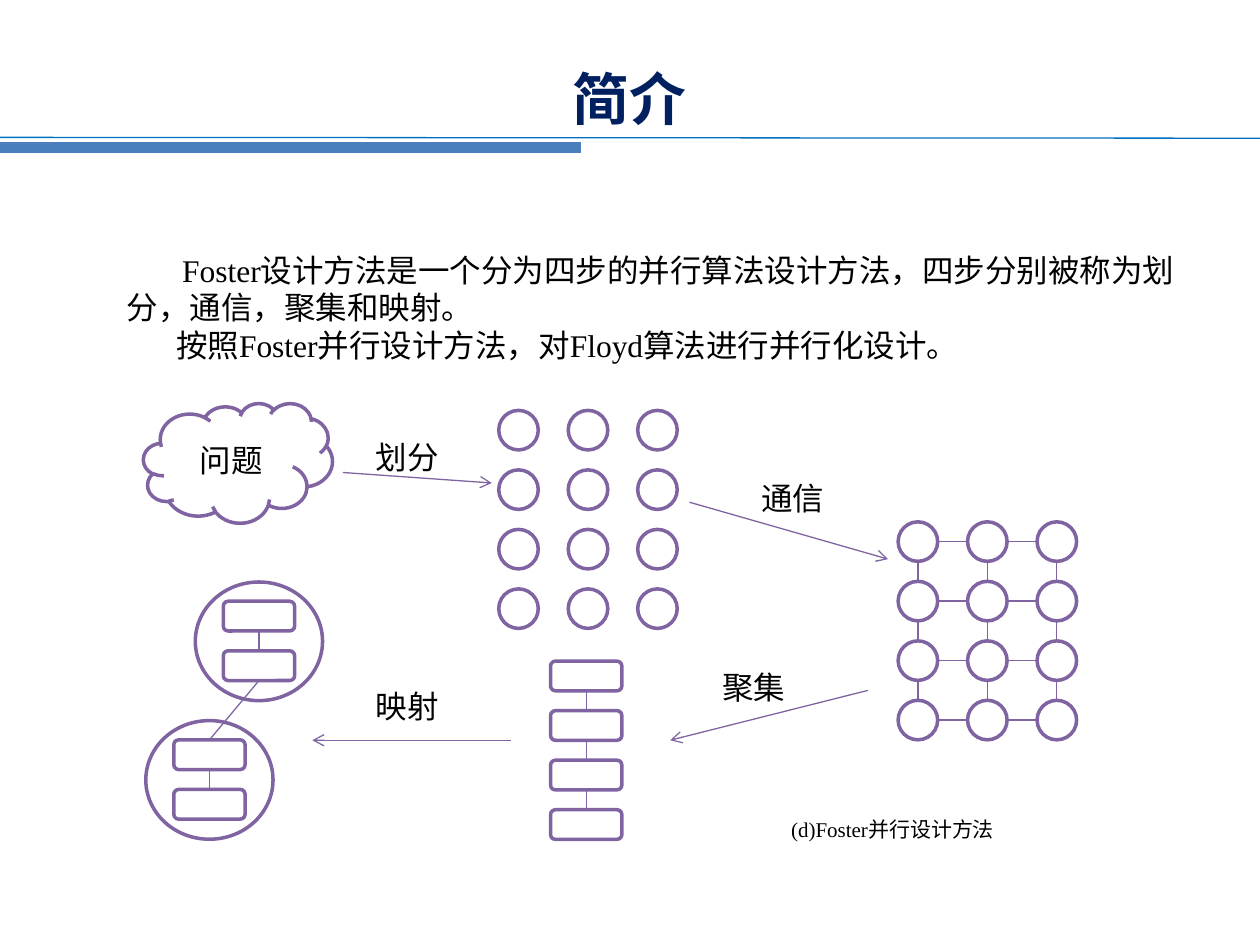
from pptx import Presentation
from pptx.dml.color import RGBColor
from pptx.enum.shapes import MSO_CONNECTOR, MSO_SHAPE
from pptx.enum.text import MSO_ANCHOR, MSO_AUTO_SIZE, PP_ALIGN
from pptx.oxml.ns import qn
from pptx.util import Pt
from lxml import etree

STRAIGHT = MSO_CONNECTOR.STRAIGHT
OVAL, ROUND, CLOUD = MSO_SHAPE.OVAL, MSO_SHAPE.ROUNDED_RECTANGLE, MSO_SHAPE.CLOUD
CENTER, MIDDLE, BOTTOM = PP_ALIGN.CENTER, MSO_ANCHOR.MIDDLE, MSO_ANCHOR.BOTTOM
NO_FIT = MSO_AUTO_SIZE.NONE
PURPLE, WHITE, BLACK, NAVY = "8064A2", "FFFFFF", "000000", "002060"
SERIF, SANS = "Times New Roman", "Calibri"

TITLE = "简介"
PARAGRAPHS = [
    ("Foster设计方法是一个分为四步的并行算法设计方法，四步分别被称为划分，通信，聚集和映射。", 31.5),
    ("按照Foster并行设计方法，对Floyd算法进行并行化设计。", 28),
]
CAPTION = "(d)Foster并行设计方法"
PROBLEM = "问题"
LABELS = [("划分", 207.5, 247), ("聚集", 405.5, 378), ("通信", 428, 270), ("映射", 207.5, 389)]
ARROWS = [
    (196, 270, 281, 276),
    (394, 287, 507.5, 319.5),
    (496, 394.5, 383, 423),
    (292, 423, 178.5, 423),
]
RULES = [(0, 78.5, 720, 79, "0070C0", 0.75), (0, 84.4, 332, 84.4, "4B7EBC", 6)]
TASK_GRID, LINKED_GRID = (285, 234.5), (513.2, 298.2)
COLS, ROWS, DX, DY, DIAMETER = 3, 4, 39.7, 34, 22.6
BOX_W, BOX_H, BOX_PITCH = 40.8, 17, 28.3
GROUP_STACK = (314.6, 377.8)
CLUSTERS = [(111.6, 332.6), (83.3, 411.8)]
CLUSTER_W, CLUSTER_H, INSET_X, INSET_Y = 72.7, 67.8, 16, 11


def rgb(color):
    return RGBColor.from_string(color)


def style(p, size, font=SERIF, color=BLACK, bold=False):
    for r in p.runs:
        r.font.size, r.font.name, r.font.bold = Pt(size), font, bold
        r.font.color.rgb = rgb(color)


def add_text(s, text, x, y, w, h, size=18):
    tf = s.shapes.add_textbox(Pt(x), Pt(y), Pt(w), Pt(h)).text_frame
    tf.word_wrap = True
    tf.text = text
    for p in tf.paragraphs:
        style(p, size)
    return tf


def add_outline(s, kind, x, y, w, h):
    sp = s.shapes.add_shape(kind, Pt(x), Pt(y), Pt(w), Pt(h))
    sp.shadow.inherit = False
    sp.fill.solid()
    sp.fill.fore_color.rgb = rgb(WHITE)
    sp.line.color.rgb = rgb(PURPLE)
    sp.line.width = Pt(2)
    return sp


def add_line(s, x1, y1, x2, y2, color=PURPLE, width=0.75, arrow=False):
    line = s.shapes.add_connector(STRAIGHT, Pt(x1), Pt(y1), Pt(x2), Pt(y2))
    line.line.color.rgb = rgb(color)
    line.line.width = Pt(width)
    if arrow:
        etree.SubElement(line.line._get_or_add_ln(), qn("a:tailEnd"), type="arrow")
    etree.SubElement(line._element.spPr, qn("a:effectLst"))
    return line


def join(s, upper, lower):
    line = add_line(s, 0, 0, 0, 0)
    line.begin_connect(upper, 2)
    line.end_connect(lower, 0)


def add_grid(s, left, top, linked=False):
    for row in range(ROWS):
        for col in range(COLS):
            x, y = left + col * DX, top + row * DY
            mid = DIAMETER / 2
            add_outline(s, OVAL, x, y, DIAMETER, DIAMETER)
            if linked and col < COLS - 1:
                add_line(s, x + DIAMETER, y + mid, x + DX, y + mid)
            if linked and row < ROWS - 1:
                add_line(s, x + mid, y + DIAMETER, x + mid, y + DY)


def add_stack(s, left, top, count):
    boxes = [add_outline(s, ROUND, left, top + i * BOX_PITCH, BOX_W, BOX_H)
             for i in range(count)]
    for upper, lower in zip(boxes, boxes[1:]):
        join(s, upper, lower)
    return boxes


def main():
    prs = Presentation()
    prs.slide_width, prs.slide_height = Pt(720), Pt(540)
    s = prs.slides.add_slide(prs.slide_layouts[5])

    for rule in RULES:
        add_line(s, *rule)

    title = s.shapes.title
    title.left, title.top, title.width, title.height = Pt(16.5), Pt(39.6), Pt(686), Pt(39.6)
    tf = title.text_frame
    tf.text = TITLE
    tf.auto_size, tf.vertical_anchor = NO_FIT, BOTTOM
    tf.paragraphs[0].alignment = CENTER
    style(tf.paragraphs[0], 32.4, SANS, NAVY, True)

    body = add_text(s, "\n".join(text for text, _ in PARAGRAPHS), 65.5, 139.7, 618, 74)
    for p, (_, indent) in zip(body.paragraphs, PARAGRAPHS):
        p._p.get_or_add_pPr().set("indent", str(Pt(indent)))
    add_text(s, CAPTION, 445, 463, 150, 24, 12)

    cloud = add_outline(s, CLOUD, 82, 230.4, 108, 68.4)
    tf = cloud.text_frame
    tf.text = PROBLEM
    tf.vertical_anchor = MIDDLE
    tf.paragraphs[0].alignment = CENTER
    style(tf.paragraphs[0], 18, SANS)

    add_grid(s, *TASK_GRID)
    add_grid(s, *LINKED_GRID, linked=True)
    add_stack(s, *GROUP_STACK, 4)

    stacks = []
    for x, y in CLUSTERS:
        add_outline(s, OVAL, x, y, CLUSTER_W, CLUSTER_H)
        stacks.append(add_stack(s, x + INSET_X, y + INSET_Y, 2))
    join(s, stacks[0][-1], stacks[1][0])

    for arrow in ARROWS:
        add_line(s, *arrow, arrow=True)
    for text, x, y in LABELS:
        add_text(s, text, x, y, 65, 29)

    prs.save("out.pptx")


if __name__ == "__main__":
    main()
